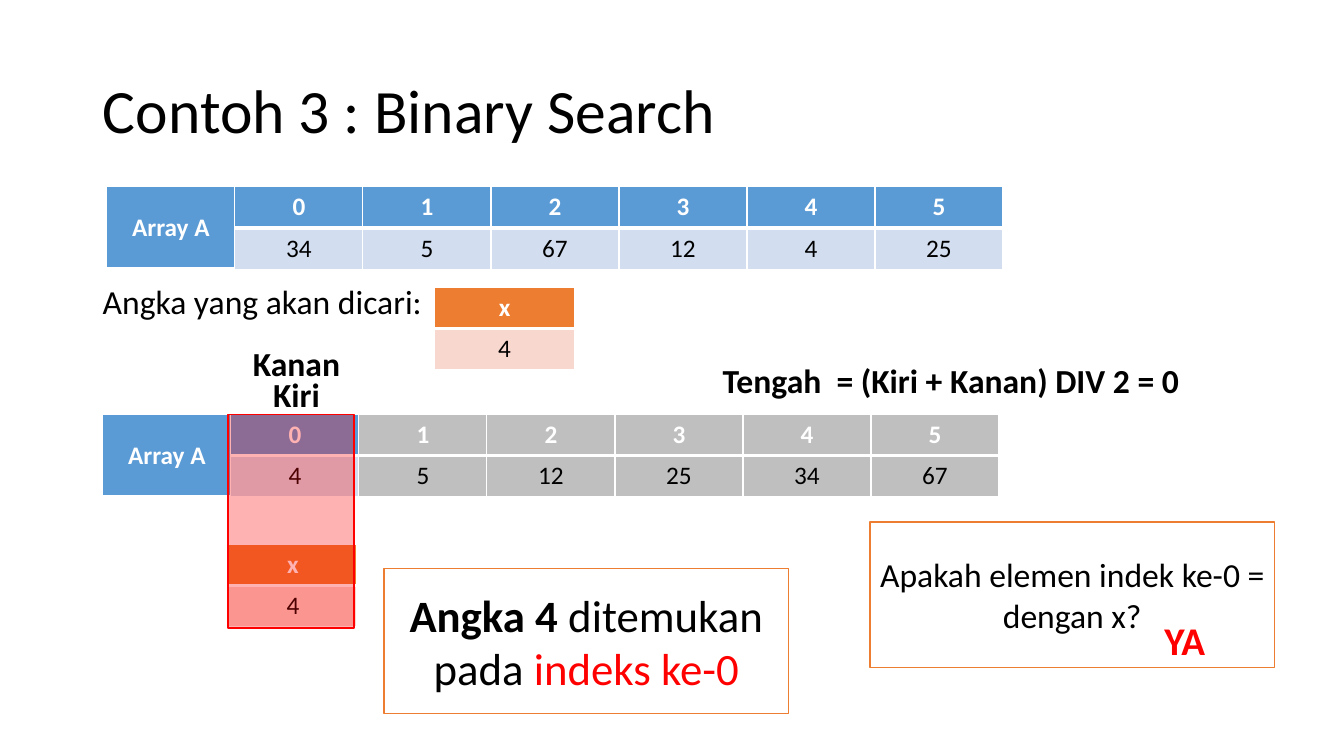
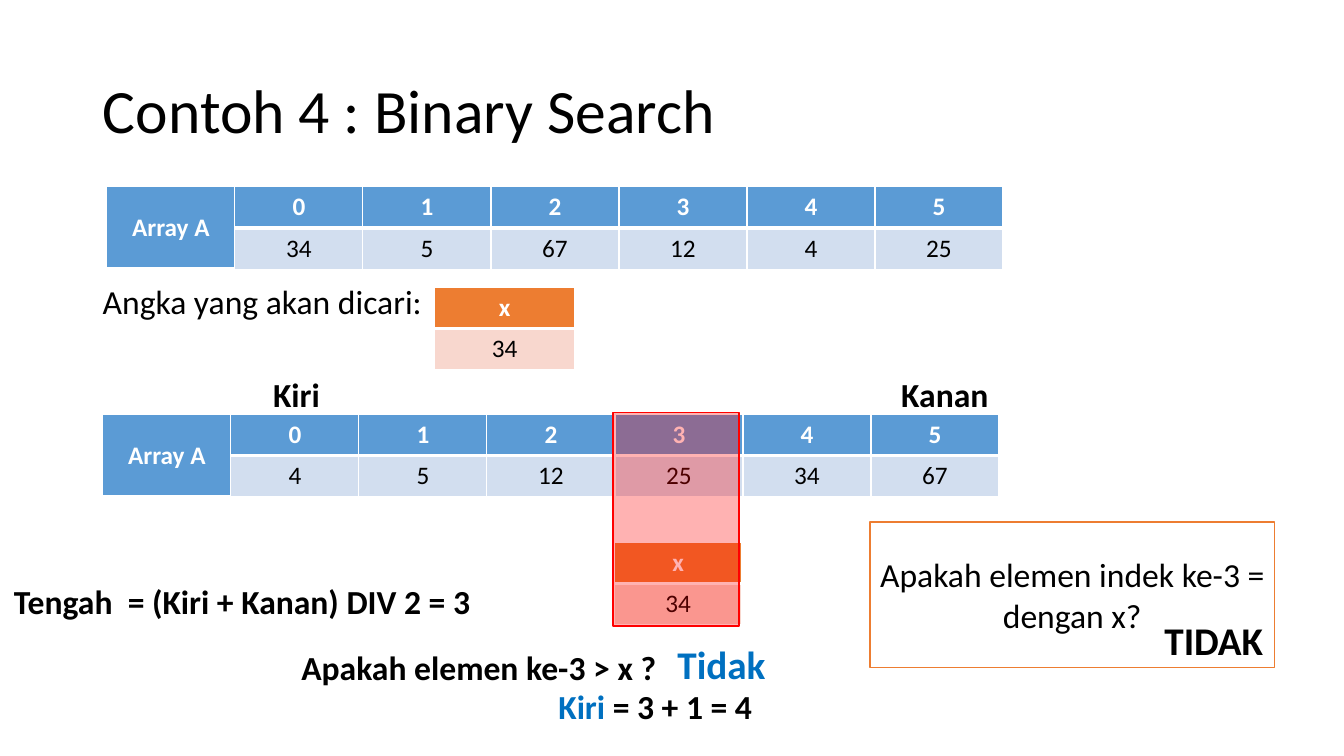
from lxml import etree
from pptx import Presentation
from pptx import util as u
from pptx.dml.color import RGBColor
from pptx.enum import shapes, text
from pptx.oxml.ns import qn

PX = 9144  # EMU per px, 100 px to the inch
FONT = "Calibri"
COLORS = {
    "black": "000000", "white": "FFFFFF", "red": "FF0000", "accent": "0070C0",
    "blue": "5B9BD5", "pale_blue": "D2DEEF", "gray": "BFBFBF",
    "orange": "ED7D31", "pale_orange": "F8D7CE",
}
COLUMN, ROW = 127, 41
TITLE_BOX = (92, 40, 1150, 145)
QUESTION_BOX = (863, 518, 401, 144)
UNSORTED = [34, 5, 67, 12, 4, 25]


def rgb(name):
    return RGBColor.from_string(COLORS[name])


def emu(box):
    return [u.Emu(length * PX) for length in box]


def style_font(font, size, color="black", bold=False):
    font.name = FONT
    font.size = u.Pt(size)
    font.bold = bold
    font.color.rgb = rgb(color)


def add_runs(paragraph, runs, size):
    """Each run is (text, color, bold)."""
    for words, color, bold in runs:
        run = paragraph.add_run()
        run.text = words
        style_font(run.font, size, color, bold)


def add_label(slide, box, runs, size=24):
    frame = slide.shapes.add_textbox(*emu(box)).text_frame
    frame.word_wrap = False
    frame.auto_size = text.MSO_AUTO_SIZE.SHAPE_TO_FIT_TEXT
    add_runs(frame.paragraphs[0], runs, size)


def add_rectangle(slide, box, fill, line):
    shape = slide.shapes.add_shape(shapes.MSO_SHAPE.RECTANGLE, *emu(box))
    shape.shadow.inherit = False
    shape.fill.solid()
    shape.fill.fore_color.rgb = rgb(fill)
    shape.line.color.rgb = rgb(line)
    shape.line.width = u.Pt(1)
    return shape


def add_callout(slide, box, runs, size):
    frame = add_rectangle(slide, box, "white", "orange").text_frame
    frame.word_wrap = True
    frame.vertical_anchor = text.MSO_ANCHOR.MIDDLE
    frame.paragraphs[0].alignment = text.PP_ALIGN.CENTER
    add_runs(frame.paragraphs[0], runs, size)


def set_borders(cell, bottom):
    properties = cell._tc.get_or_add_tcPr()
    for side, points in (("L", 1), ("R", 1), ("T", 1), ("B", bottom)):
        line = etree.SubElement(properties, qn(f"a:ln{side}"), w=str(u.Pt(points)))
        fill = etree.SubElement(line, qn("a:solidFill"))
        etree.SubElement(fill, qn("a:srgbClr"), val=COLORS["white"])


def fill_cell(cell, value, fill, header, anchor):
    set_borders(cell, 3 if header else 1)
    cell.fill.solid()
    cell.fill.fore_color.rgb = rgb(fill)
    cell.vertical_anchor = anchor
    cell.text = str(value)
    paragraph = cell.text_frame.paragraphs[0]
    paragraph.alignment = text.PP_ALIGN.CENTER
    style_font(paragraph.runs[0].font, 18, "white" if header else "black", header)


def add_plain_table(slide, left, top, columns, column_width):
    box = (left, top, columns * column_width, 2 * ROW)
    table = slide.shapes.add_table(2, columns, *emu(box)).table
    table.first_row = table.horz_banding = False
    for column in table.columns:
        column.width = u.Emu(column_width * PX)
    for row in table.rows:
        row.height = u.Emu(ROW * PX)
    return table


def add_array(slide, left, top, values, active):
    """Indices over values; columns outside active are gray."""
    table = add_plain_table(slide, left, top, len(values) + 1, COLUMN)
    middle = text.MSO_ANCHOR.MIDDLE
    table.cell(0, 0).merge(table.cell(1, 0))
    fill_cell(table.cell(0, 0), "Array A", "blue", True, middle)
    for index, value in enumerate(values):
        fills = ("blue", "pale_blue") if index in active else ("gray", "gray")
        fill_cell(table.cell(0, index + 1), index, fills[0], True, middle)
        fill_cell(table.cell(1, index + 1), value, fills[1], False, middle)


def add_target(slide, left, top, width, target):
    table = add_plain_table(slide, left, top, 1, width)
    fill_cell(table.cell(0, 0), "x", "orange", True, text.MSO_ANCHOR.TOP)
    fill_cell(table.cell(1, 0), target, "pale_orange", False, text.MSO_ANCHOR.TOP)


def add_probe(slide, left, top, target):
    """The target below the compared column, both under a clear red frame."""
    add_target(slide, left + 1, top + 129, COLUMN, target)
    frame = add_rectangle(slide, (left, top, 125, 212), "red", "red")
    color = frame._element.spPr.find(qn("a:solidFill")).find(qn("a:srgbClr"))
    etree.SubElement(color, qn("a:alpha"), val="30000")


def add_question(slide, box, middle, answer):
    left, top, width, height = box
    question = f"Apakah elemen indek ke-{middle} = dengan x?"
    add_callout(slide, box, [(question, "black", False)], 24)
    words, color, answer_width = answer
    add_label(slide, (left + 282, top + 89, answer_width, 57),
              [(words, color, True)], 28)


def add_title(slide, box, words):
    title = slide.shapes.title
    title.left, title.top, title.width, title.height = emu(box)
    frame = title.text_frame
    frame.text = words
    frame.auto_size = text.MSO_AUTO_SIZE.NONE
    frame.vertical_anchor = text.MSO_ANCHOR.MIDDLE
    paragraph = frame.paragraphs[0]
    paragraph.alignment = text.PP_ALIGN.LEFT
    paragraph.line_spacing = 0.9
    style_font(paragraph.runs[0].font, 44)


def add_search_slide(presentation, number, target, middle, active, probe, answer,
                     labels):
    slide = presentation.slides.add_slide(presentation.slide_layouts[5])
    add_title(slide, TITLE_BOX, f"Contoh {number} : Binary Search")
    add_array(slide, 106, 185, UNSORTED, range(len(UNSORTED)))
    add_target(slide, 431, 285, 139, target)
    add_label(slide, (92, 274, 339, 50), [("Angka yang akan dicari:", "black", False)])
    add_array(slide, 102, 411, sorted(UNSORTED), active)
    add_question(slide, QUESTION_BOX, middle, answer)
    add_probe(slide, *probe, target)
    add_label(slide, (261, 366, 67, 50), [("Kiri", "black", True)])
    formula = f"Tengah  = (Kiri + Kanan) DIV 2 = {middle}"
    for words, left, top, width in (("Kanan", *labels["right"], 108),
                                    (formula, *labels["formula"], 477)):
        add_label(slide, (left, top, width, 50), [(words, "black", True)])
    return slide


def add_found_slide(presentation):
    slide = add_search_slide(
        presentation, 3, target=4, middle=0, active=[0], probe=(226, 411),
        answer=("YA", "red", 61),
        labels={"right": (241, 335), "formula": (707, 352)})
    add_callout(slide, (381, 564, 401, 144),
                [("Angka 4 ", "black", True), ("ditemukan pada ", "black", False),
                 ("indeks ke-0", "red", False)], 32)


def add_step_slide(presentation):
    slide = add_search_slide(
        presentation, 4, target=34, middle=3, active=range(6), probe=(608, 409),
        answer=("TIDAK", "black", 119),
        labels={"right": (884, 366), "formula": (4, 571)})
    add_label(slide, (289, 637, 375, 50),
              [("Apakah elemen ke-3 > x ?", "black", True)])
    add_label(slide, (662, 630, 109, 57), [("Tidak", "accent", True)], 28)
    add_label(slide, (544, 676, 214, 50),
              [("Kiri ", "accent", True), ("= 3 + 1 = 4", "black", True)])


def main():
    presentation = Presentation()
    presentation.slide_width, presentation.slide_height = emu((1333, 750))
    add_found_slide(presentation)
    add_step_slide(presentation)
    presentation.save("out.pptx")


if __name__ == "__main__":
    main()
